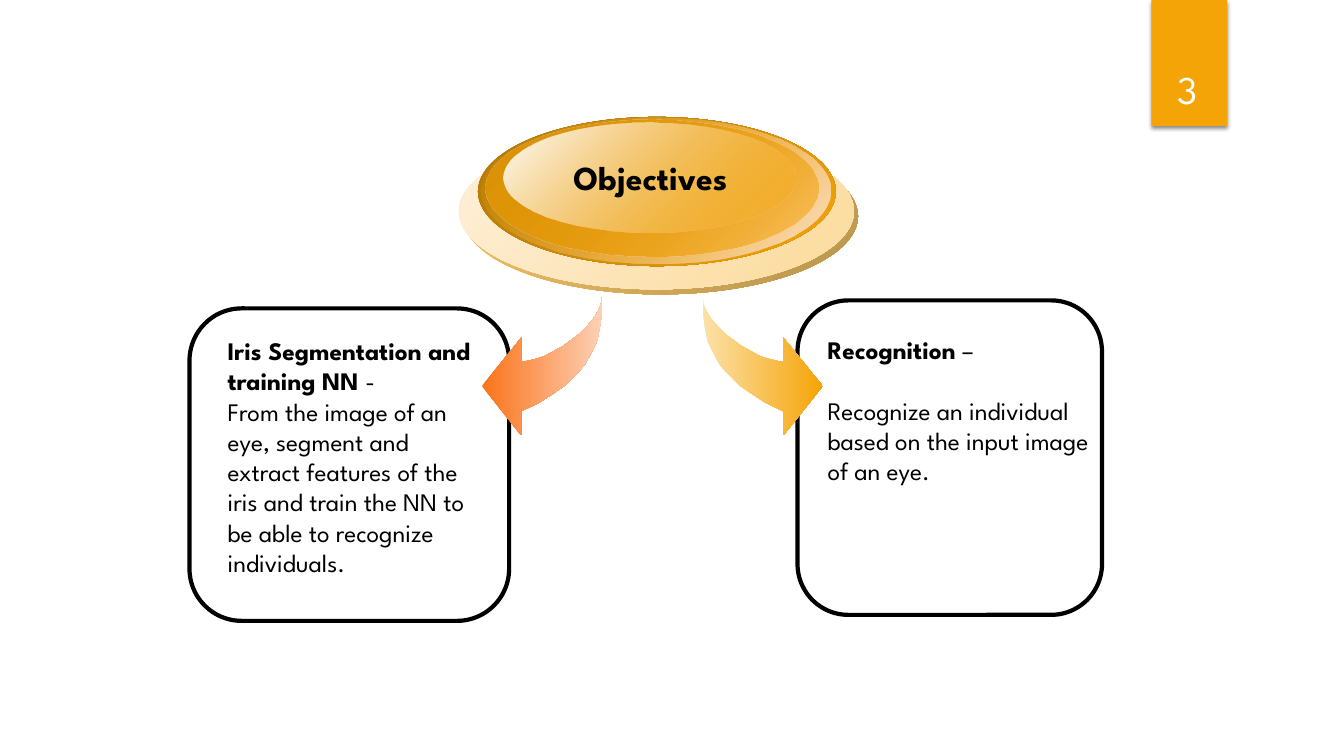
from lxml import etree
from pptx import Presentation
from pptx import util as u
from pptx.dml.color import RGBColor
from pptx.enum import shapes, text
from pptx.oxml.ns import qn

FONT = "League Spartan"
TITLE = "Objectives"
PAGE = "3"
CARDS = [
    ((1.88, 3.06, 3.17, 3.1), (2.16, 3.28, 2.7, 2.7), 0,
     "Iris Segmentation and training NN ", "-",
     "From the image of an eye, segment and extract features of the iris "
     "and train the NN to be able to recognize individuals."),
    ((7.91, 2.98, 3.02, 3.12), (8.11, 3.27, 2.86, 1.92), 21.6,
     "Recognition ", "–",
     "Recognize an individual based on the input image of an eye."),
]
DISCS = [
    ((4.59, 1.37, 3.92, 1.55), ("FAC96A", 100), ("B7934D", 100)),
    ((4.55, 1.32, 3.92, 1.55), ("FEF0DA", 100), ("FCDB9B", 100)),
    ((4.74, 1.16, 3.55, 1.48), ("AF7506", 100), ("F5A408", 100)),
    ((4.78, 1.17, 3.46, 1.44), ("F5A408", 0), ("FCE5D4", 100)),
    ((4.82, 1.19, 3.3, 1.35), ("DD9407", 100), ("F5A408", 48)),
    ((4.99, 1.22, 2.9, 1.09), ("FFFFFF", 100), ("F5A408", 38)),
]
ARROW = [
    (5.97, 2.95), (5.97, 3.11), (5.95, 3.25), (5.92, 3.39), (5.86, 3.51),
    (5.8, 3.62), (5.71, 3.72), (5.61, 3.82), (5.48, 3.91), (5.34, 4),
    (5.17, 4.08), (5.17, 4.32), (4.78, 3.83), (5.17, 3.35), (5.17, 3.59),
    (5.24, 3.58), (5.32, 3.56), (5.41, 3.53), (5.5, 3.48), (5.59, 3.43),
    (5.67, 3.37), (5.75, 3.31), (5.82, 3.24), (5.88, 3.17), (5.93, 3.09),
    (5.96, 3.02),
]
MIRROR = 12.94
ARROW_FILLS = [
    (False, ("FA731A", 100), ("FDD0B5", 100)),
    (True, ("FCE1A8", 100), ("F5A408", 100)),
]

prs = Presentation()
prs.slide_width, prs.slide_height = u.Inches(13.33), u.Inches(7.5)
s = prs.slides.add_slide(prs.slide_layouts[6])


def rgb(value):
    return RGBColor.from_string(value)


def add_shape(kind, box):
    sp = s.shapes.add_shape(kind, *map(u.Inches, box))
    sp.shadow.inherit = False
    sp.line.fill.background()
    return sp


def gradient(sp, stops, angle):
    sp.fill.gradient()
    sp.fill.gradient_angle = angle
    for stop, (color, opacity) in zip(sp.fill.gradient_stops, stops):
        stop.color.rgb = rgb(color)
    for node, (color, opacity) in zip(sp._element.spPr.iter(qn("a:srgbClr")), stops):
        if opacity < 100:
            etree.SubElement(node, qn("a:alpha"), val=str(opacity * 1000))


def add_text(box, paragraphs, size, color="000000", align=None, wrap=True, anchor=None):
    tf = s.shapes.add_textbox(*map(u.Inches, box)).text_frame
    tf.word_wrap = wrap
    tf.vertical_anchor = anchor
    for i, runs in enumerate(paragraphs):
        p = tf.paragraphs[0] if i == 0 else tf.add_paragraph()
        p.alignment = align
        for words, bold in runs:
            r = p.add_run()
            r.text = words
            r.font.name, r.font.size, r.font.bold = FONT, u.Pt(size), bold
            r.font.color.rgb = rgb(color)
    return tf


tab = add_shape(shapes.MSO_SHAPE.RECTANGLE, (11.42, 0, 0.75, 1.25))
tab.fill.solid()
tab.fill.fore_color.rgb = rgb("F5A408")
effects = tab._element.spPr.find(qn("a:effectLst"))
shadow = etree.SubElement(effects, qn("a:outerShdw"), blurRad=str(u.Pt(3)),
                          dist=str(u.Pt(2)), dir="5400000", rotWithShape="0")
shade = etree.SubElement(shadow, qn("a:srgbClr"), val="000000")
etree.SubElement(shade, qn("a:alpha"), val="45000")

for box, text_box, gap, heading, dash, body in CARDS:
    card = add_shape(shapes.MSO_SHAPE.ROUNDED_RECTANGLE, box)
    card.adjustments[0] = 0.167
    card.fill.background()
    card.line.color.rgb = rgb("000000")
    card.line.width = u.Pt(3)
    tf = add_text(text_box, [[(heading, True), (dash, False)], [(body, False)]], 18)
    tf.paragraphs[1].space_before = u.Pt(gap)

for mirrored, *stops in ARROW_FILLS:
    points = [(u.Inches(MIRROR - x if mirrored else x), u.Inches(y)) for x, y in ARROW]
    outline = s.shapes.build_freeform(*points[0])
    outline.add_line_segments(points[1:], close=True)
    arrow = outline.convert_to_shape()
    arrow.shadow.inherit = False
    arrow.line.fill.background()
    gradient(arrow, stops, 0)

for box, *stops in DISCS:
    gradient(add_shape(shapes.MSO_SHAPE.OVAL, box), stops, 315)

add_text((5.23, 1.51, 2.44, 0.65), [[(TITLE, True)]], 24,
         align=text.PP_ALIGN.CENTER, wrap=False)
add_text((11.32, 0.32, 0.92, 0.84), [[(PAGE, False)]], 28, "FFFFFF",
         text.PP_ALIGN.CENTER, anchor=text.MSO_ANCHOR.BOTTOM)

prs.save("out.pptx")
